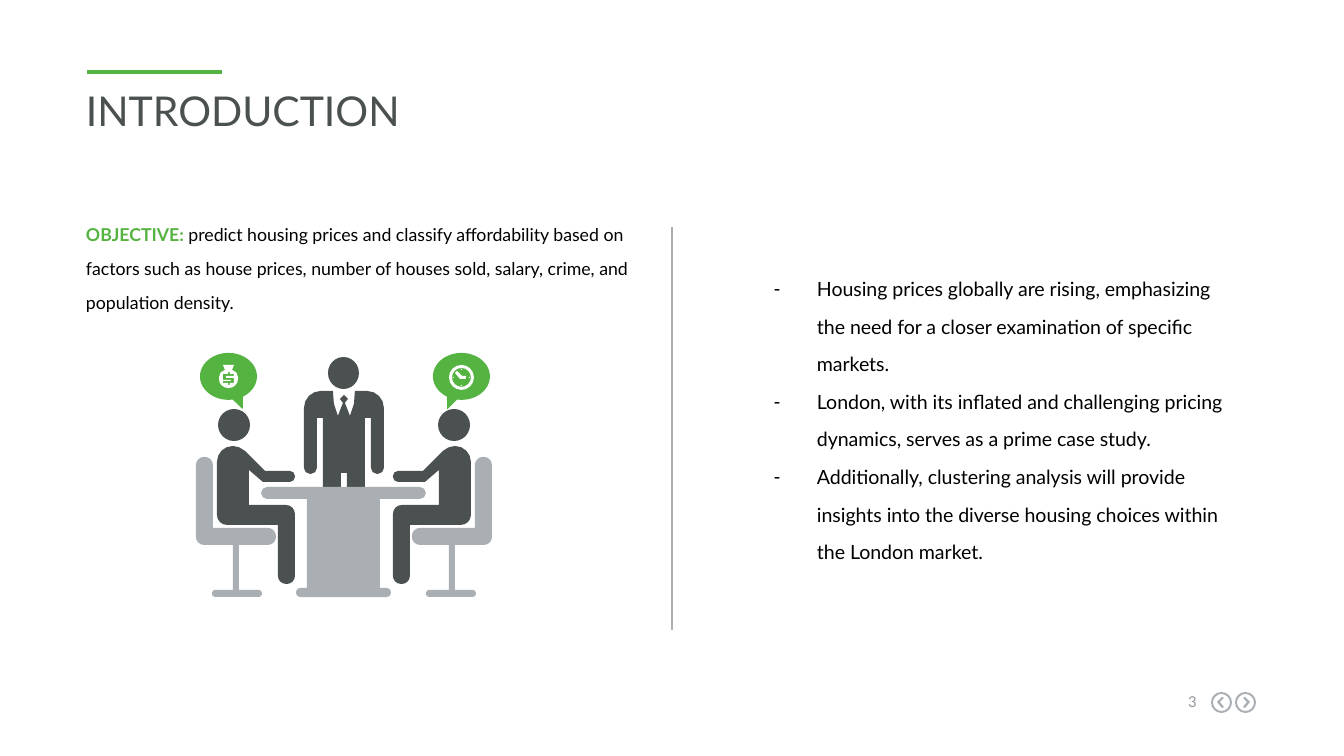
import math

import lxml.etree
import pptx
import pptx.dml.color
import pptx.enum.shapes
import pptx.enum.text
import pptx.oxml.ns
import pptx.util

SCALE = 9144000 / 1344
FONT = "Lato"
GREEN, DARK, GREY, PALE = "55B441", "4B5050", "AAAFB4", "91969B"
WHITE, BLACK = "FFFFFF", "000000"
SHAPES = pptx.enum.shapes.MSO_SHAPE
ALIGN = pptx.enum.text.PP_ALIGN

POINTS = [
    "Housing prices globally are rising, emphasizing the need for a closer "
    "examination of specific markets.",
    "London, with its inflated and challenging pricing dynamics, serves as a prime case study.",
    "Additionally, clustering analysis will provide insights into the diverse "
    "housing choices within the London market.",
]
OBJECTIVE = (
    " predict housing prices and classify affordability based on factors such as "
    "house prices, number of houses sold, salary, crime, and population density."
)

SUIT_HALF = [(44, 8), (41, 12), (43, 17), (46, 25), (50, 13), (51, 0),
             (80, 0, 17), (80, 83, 6), (67, 83, 6), (67, 27), (61, 27),
             (61, 169, 9), (43, 169, 9), (43, 82)]
TABLE_HALF = [(165, 0, 6), (165, 12, 6), (119, 12), (119, 101), (130, 101, 4), (130, 110, 4)]
SITTER = [(0, 0, 16), (23, 0, 7), (48, 25), (78, 25, 5), (78, 36, 5), (46, 36), (32, 24),
          (32, 59), (78, 59, 9), (78, 138, 8), (61, 138, 8), (61, 79), (0, 79, 10)]
CHAIR = [(0, 0, 8), (17, 0, 8), (17, 71), (80, 71, 8), (80, 88, 8), (43, 88), (43, 133),
         (66, 133, 3), (66, 140, 3), (16, 140, 3), (16, 133, 3), (37, 133), (37, 88), (0, 88, 8)]
BAG = [(4, 0), (15, 0), (13, 5), (19, 6, 6), (19, 23, 9), (0, 23, 9), (0, 6, 6), (6, 5)]
DOLLAR = [(9, 7), (11, 7), (11, 9), (15, 9), (15, 11), (7, 11), (7, 13), (15, 13), (15, 18),
          (11, 18), (11, 20), (9, 20), (9, 18), (4, 18), (4, 16), (12, 16), (12, 15),
          (4, 15), (4, 9), (9, 9)]
CLOCK_HAND = [(8, 6), (13, 11), (17, 11), (17, 14), (11, 14), (6, 8)]
CHEVRON = [(8, 6), (10, 5), (15, 10), (10, 16), (8, 15), (12, 10)]


def px(length):
    return pptx.util.Emu(round(length * SCALE))


def paint(code):
    return pptx.dml.color.RGBColor.from_string(code)


def mirror(outline, width):
    return [(width - x, y, *radius) for x, y, *radius in reversed(outline)]


def square(x, y, size):
    return [(x, y), (x + size, y), (x + size, y + size), (x, y + size)]


def circle(x, y, size):
    return [(*corner, size / 2) for corner in square(x, y, size)]


def round_corners(outline):
    dots = []
    for index, (x, y, *radius) in enumerate(outline):
        if not radius:
            dots.append((x, y))
            continue
        ends = []
        for near in (outline[index - 1], outline[(index + 1) % len(outline)]):
            share = radius[0] / math.dist((x, y), near[:2])
            ends.append((x + (near[0] - x) * share, y + (near[1] - y) * share))
        steps = 4 if radius[0] > 7 else 2
        for step in range(steps + 1):
            t = step / steps
            start = (1 - t) ** 3 + 1.35 * t * (1 - t) ** 2
            finish = t ** 3 + 1.35 * (1 - t) * t ** 2
            dots.append(tuple(c + (a - c) * start + (b - c) * finish
                              for a, b, c in zip(*ends, (x, y))))
    return [(px(x), px(y)) for x, y in dots]


def fill_plain(shape, color):
    shape.shadow.inherit = False
    shape.fill.solid()
    shape.fill.fore_color.rgb = paint(color)
    shape.line.fill.background()
    return shape


def add_outline(page, left, top, outlines, color):
    first, *others = [round_corners(outline) for outline in outlines]
    builder = page.shapes.build_freeform(*first[0])
    builder.add_line_segments(first[1:])
    for dots in others:
        builder.move_to(*dots[0])
        builder.add_line_segments(dots[1:])
    return fill_plain(builder.convert_to_shape(px(left), px(top)), color)


def add_preset(page, kind, left, top, width, height, color):
    shape = page.shapes.add_shape(kind, px(left), px(top), px(width), px(height))
    return fill_plain(shape, color)


def add_rule(page, x1, y1, x2, y2, color, weight):
    straight = pptx.enum.shapes.MSO_CONNECTOR.STRAIGHT
    rule = page.shapes.add_connector(straight, px(x1), px(y1), px(x2), px(y2))
    rule.line.color.rgb = paint(color)
    rule.line.width = pptx.util.Pt(weight)
    lxml.etree.SubElement(rule._element.spPr, pptx.oxml.ns.qn("a:effectLst"))


def place_text(box, left, top, width, height):
    box.left, box.top, box.width, box.height = px(left), px(top), px(width), px(height)
    frame = box.text_frame
    frame.margin_left = frame.margin_top = frame.margin_right = frame.margin_bottom = 0
    frame.word_wrap = True
    frame.auto_size = pptx.enum.text.MSO_AUTO_SIZE.NONE
    frame.vertical_anchor = pptx.enum.text.MSO_ANCHOR.TOP
    return frame


def add_span(para, text, size, color, bold=False):
    span = para.add_run()
    span.text = text
    span.font.name = FONT
    span.font.size = pptx.util.Pt(size)
    span.font.bold = bold
    span.font.color.rgb = paint(color)


def add_dash(para):
    settings = para._p.get_or_add_pPr()
    settings.set("marL", str(px(67)))
    settings.set("indent", str(px(-43)))
    tint = lxml.etree.SubElement(settings, pptx.oxml.ns.qn("a:buClr"))
    lxml.etree.SubElement(tint, pptx.oxml.ns.qn("a:srgbClr"), val=BLACK)
    lxml.etree.SubElement(settings, pptx.oxml.ns.qn("a:buChar"), char="-")


def add_heading(page, left, top):
    add_rule(page, left + 1, top, left + 136, top, GREEN, 2.25)
    para = place_text(page.shapes.title, left, top + 13, 1169, 56).paragraphs[0]
    para.alignment = ALIGN.LEFT
    add_span(para, "INTRODUCTION", 22, DARK)


def add_objective(page, left, top, width, height):
    box = page.shapes.add_textbox(0, 0, 0, 0)
    para = place_text(box, left, top, width, height).paragraphs[0]
    para.line_spacing = 1.6
    add_span(para, "OBJECTIVE:", 9.5, GREEN, True)
    add_span(para, OBJECTIVE, 9.5, BLACK)


def add_points(page, left, top, width, height):
    frame = place_text(page.placeholders[1], left, top, width, height)
    for index, point in enumerate(POINTS):
        para = frame.add_paragraph() if index else frame.paragraphs[0]
        add_dash(para)
        para.line_spacing = 1.6
        para.space_before = pptx.util.Pt(0)
        add_span(para, point, 10.5, BLACK)


def add_bubble(page, left, top, tail, icon_left, icon):
    bubble = add_preset(page, SHAPES.OVAL_CALLOUT, left, top, 57, 47, GREEN)
    bubble.adjustments[0] = tail
    bubble.adjustments[1] = 0.7
    add_outline(page, left + icon_left, top + 12, icon, WHITE)


def add_meeting(page, left, top, width):
    add_preset(page, SHAPES.OVAL, left + 132, top + 4, 31, 32, DARK)
    suit = [(40, 4), *SUIT_HALF, *mirror(SUIT_HALF, 80)]
    add_outline(page, left + 108, top + 38, [suit], DARK)
    for flipped in (False, True):
        def side(offset, size):
            return left + (width - offset - size if flipped else offset)

        sitter = mirror(SITTER, 78) if flipped else SITTER
        chair = mirror(CHAIR, 80) if flipped else CHAIR
        add_outline(page, side(21, 78), top + 93, [sitter], DARK)
        add_preset(page, SHAPES.OVAL, side(22, 32), top + 56, 32, 32, DARK)
        add_outline(page, side(0, 80), top + 104, [chair], GREY)
    table = TABLE_HALF + mirror(TABLE_HALF, 165)
    add_outline(page, left + 65, top + 134, [table], GREY)

    ticks = [square(x, y, 1) for x, y in ((12, 4), (20, 12), (12, 20), (4, 12))]
    clock = [circle(0, 0, 25), circle(3, 3, 19), CLOCK_HAND, *ticks]
    add_bubble(page, left + 4, top, 0.25, 19, [BAG, DOLLAR])
    add_bubble(page, left + 237, top, -0.25, 16, clock)


def add_footer(page, left, top):
    box = page.shapes.add_textbox(0, 0, 0, 0)
    para = place_text(box, left, top + 1, 31, 18).paragraphs[0]
    para.alignment = ALIGN.RIGHT
    add_span(para, "3", 8, PALE)
    for offset, arrow in ((45, mirror(CHEVRON, 21)), (69, CHEVRON)):
        ring = [circle(0, 0, 21), circle(2, 2, 17), arrow]
        add_outline(page, left + offset, top, ring, GREY)


def main():
    deck = pptx.Presentation()
    deck.slide_width, deck.slide_height = px(1344), px(756)
    page = deck.slides.add_slide(deck.slide_layouts[1])
    add_heading(page, 86, 72)
    add_objective(page, 86, 211, 548, 79)
    add_meeting(page, 196, 353, 296)
    add_rule(page, 672, 227, 672, 630, GREY, 0.75)
    add_points(page, 750, 263, 491, 280)
    add_footer(page, 1166, 692)
    deck.save("out.pptx")


if __name__ == "__main__":
    main()
